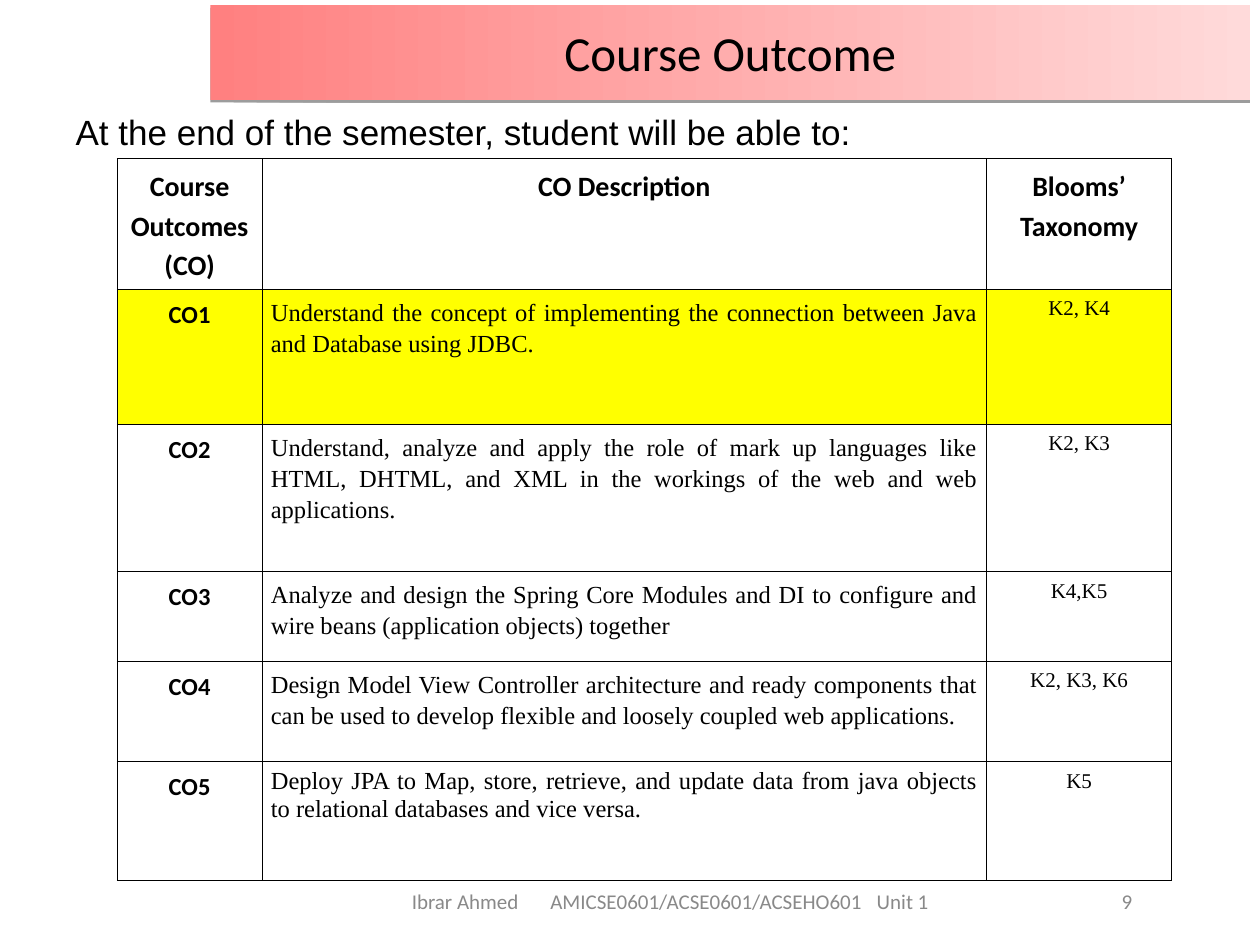
from dataclasses import dataclass

import pptx
import pptx.dml.color
import pptx.enum.text
import pptx.oxml
import pptx.oxml.ns
import pptx.util

Inches = pptx.util.Inches
Pt = pptx.util.Pt
ALIGN = pptx.enum.text.PP_ALIGN
ANCHOR = pptx.enum.text.MSO_ANCHOR
NS = pptx.oxml.ns.nsdecls("a")


@dataclass(frozen=True)
class Theme:
    ink: str = "000000"
    muted: str = "898989"
    highlight: str = "FFFF00"
    banner_start: str = "FF8080"
    banner_end: str = "FFDADA"
    sans: str = "Calibri"
    serif: str = "Times New Roman"
    plain: str = "Arial"
    title: float = 28
    intro: float = 20
    header: float = 16
    body: float = 14
    small: float = 12
    border: float = 0.45


THEME = Theme()
HEADINGS = ["Course Outcomes (CO)", "CO Description", "Blooms’ Taxonomy"]
OUTCOMES = [
    ("Understand the concept of implementing the connection between Java and "
     "Database using JDBC.", "K2, K4"),
    ("Understand, analyze and apply the role of mark up languages like HTML, DHTML, "
     "and XML in the workings of the web and web applications.", "K2, K3"),
    ("Analyze and design the Spring Core Modules and DI to configure and wire beans "
     "(application objects) together", "K4,K5"),
    ("Design Model View Controller architecture and ready components that can be used "
     "to develop flexible and loosely coupled web applications.", "K2, K3, K6"),
    ("Deploy JPA to Map, store, retrieve, and update data from java objects to "
     "relational databases and vice versa.", "K5"),
]
CURRENT_OUTCOME = 1
COLUMN_WIDTHS = [1.15, 5.75, 1.47]
ROW_HEIGHTS = [1.02, 1.07, 1.17, 0.71, 0.8, 0.94]


def rgb(value):
    return pptx.dml.color.RGBColor.from_string(value)


def write(frame, text, size, face, color=THEME.ink, align=ALIGN.LEFT, bold=False,
          spacing=1.0):
    """Fill the first paragraph of a frame with one formatted run and return it."""
    frame.word_wrap = True
    paragraph = frame.paragraphs[0]
    paragraph.alignment = align
    paragraph.line_spacing = spacing
    paragraph.space_before = Pt(0)
    run = paragraph.add_run()
    run.text = text
    run.font.size = Pt(size)
    run.font.name = face
    run.font.bold = bold
    run.font.color.rgb = rgb(color)
    return paragraph


def place(shape, left, top, width, height):
    shape.left, shape.top = Inches(left), Inches(top)
    shape.width, shape.height = Inches(width), Inches(height)
    shape.text_frame.auto_size = pptx.enum.text.MSO_AUTO_SIZE.NONE
    shape.text_frame.vertical_anchor = ANCHOR.MIDDLE


def add_banner(slide, box):
    banner = slide.shapes.title
    place(banner, *box)
    banner.fill.gradient()
    banner.fill.gradient_angle = 0
    ends = (THEME.banner_start, THEME.banner_end)
    for stop, color, position in zip(banner.fill.gradient_stops, ends, (0, 1)):
        stop.color.rgb = rgb(color)
        stop.position = position
    banner.shadow.inherit = False
    effects = banner._element.spPr.find(pptx.oxml.ns.qn("a:effectLst"))
    effects.append(pptx.oxml.parse_xml(
        f'<a:outerShdw {NS} blurRad="0" dist="{Pt(1.6)}" dir="5400000" rotWithShape="0">'
        f'<a:srgbClr val="{THEME.ink}"><a:alpha val="38000"/></a:srgbClr></a:outerShdw>'))
    write(banner.text_frame, "Course Outcome", THEME.title, THEME.sans, align=ALIGN.CENTER)


def add_intro(slide, box):
    intro = slide.placeholders[1]
    place(intro, *box)
    properties = intro.text_frame.paragraphs[0]._p.get_or_add_pPr()
    properties.set("marL", "0")
    properties.set("indent", "0")
    properties.append(pptx.oxml.parse_xml(f"<a:buNone {NS}/>"))
    write(intro.text_frame, "At the end of the semester, student will be able to:",
          THEME.intro, THEME.plain)


def style_cell(cell, inset, fill=None):
    cell.margin_left = cell.margin_right = Inches(inset)
    cell.margin_top = cell.margin_bottom = Inches(0.05)
    properties = cell._tc.get_or_add_tcPr()
    for side in ("lnL", "lnR", "lnT", "lnB"):
        properties.append(pptx.oxml.parse_xml(
            f'<a:{side} {NS} w="{Pt(THEME.border)}"><a:solidFill>'
            f'<a:srgbClr val="{THEME.ink}"/></a:solidFill></a:{side}>'))
    if fill:
        cell.fill.solid()
        cell.fill.fore_color.rgb = rgb(fill)
    else:
        cell.fill.background()


def add_outcomes(slide, left, top):
    table = slide.shapes.add_table(
        len(ROW_HEIGHTS), len(COLUMN_WIDTHS), Inches(left), Inches(top),
        Inches(sum(COLUMN_WIDTHS)), Inches(sum(ROW_HEIGHTS))).table
    table.first_row = table.horz_banding = False
    for column, width in zip(table.columns, COLUMN_WIDTHS):
        column.width = Inches(width)
    for row, height in zip(table.rows, ROW_HEIGHTS):
        row.height = Inches(height)

    for cell, heading in zip(table.rows[0].cells, HEADINGS):
        style_cell(cell, 0.07)
        write(cell.text_frame, heading, THEME.header, THEME.sans,
              align=ALIGN.CENTER, bold=True, spacing=1.15)

    for number, (description, levels) in enumerate(OUTCOMES, start=1):
        fill = THEME.highlight if number == CURRENT_OUTCOME else None
        code, detail, taxonomy = table.rows[number].cells
        for cell, inset in ((code, 0.07), (detail, 0.07), (taxonomy, 0.08)):
            style_cell(cell, inset, fill)
        write(code.text_frame, f"CO{number}", THEME.body, THEME.sans,
              align=ALIGN.CENTER, bold=True, spacing=1.15)
        write(detail.text_frame, description, THEME.body, THEME.serif,
              align=ALIGN.JUSTIFY, spacing=1.0 if number == len(OUTCOMES) else 1.15)
        level = write(taxonomy.text_frame, levels, THEME.small, THEME.serif,
                      align=ALIGN.CENTER, spacing=1.07)
        level.space_after = Pt(8)


def add_footer(slide, left, top, height):
    credit = slide.shapes.add_textbox(0, 0, 0, 0)
    place(credit, left, top, 4.5, height)
    stops = "".join(f'<a:tab pos="{Inches(stop)}" algn="l"/>' for stop in (1.1, 3.69))
    credit.text_frame.paragraphs[0]._p.get_or_add_pPr().append(
        pptx.oxml.parse_xml(f"<a:tabLst {NS}>{stops}</a:tabLst>"))
    write(credit.text_frame, "Ibrar Ahmed\tAMICSE0601/ACSE0601/ACSEHO601\tUnit 1",
          THEME.small, THEME.sans, THEME.muted)

    page = slide.shapes.add_textbox(0, 0, 0, 0)
    place(page, left + 4.5, top, 2.55, height)
    write(page.text_frame, "9", THEME.small, THEME.sans, THEME.muted, ALIGN.CENTER)


def main():
    deck = pptx.Presentation()
    deck.slide_width, deck.slide_height = Inches(10), Inches(7.5)
    slide = deck.slides.add_slide(deck.slide_layouts[1])
    add_banner(slide, (1.67, 0.04, 8.25, 0.75))
    add_intro(slide, (0.5, 0.82, 9.5, 0.44))
    add_outcomes(slide, 0.93, 1.26)
    add_footer(slide, 3.17, 6.95, 0.4)
    deck.save("out.pptx")


if __name__ == "__main__":
    main()
